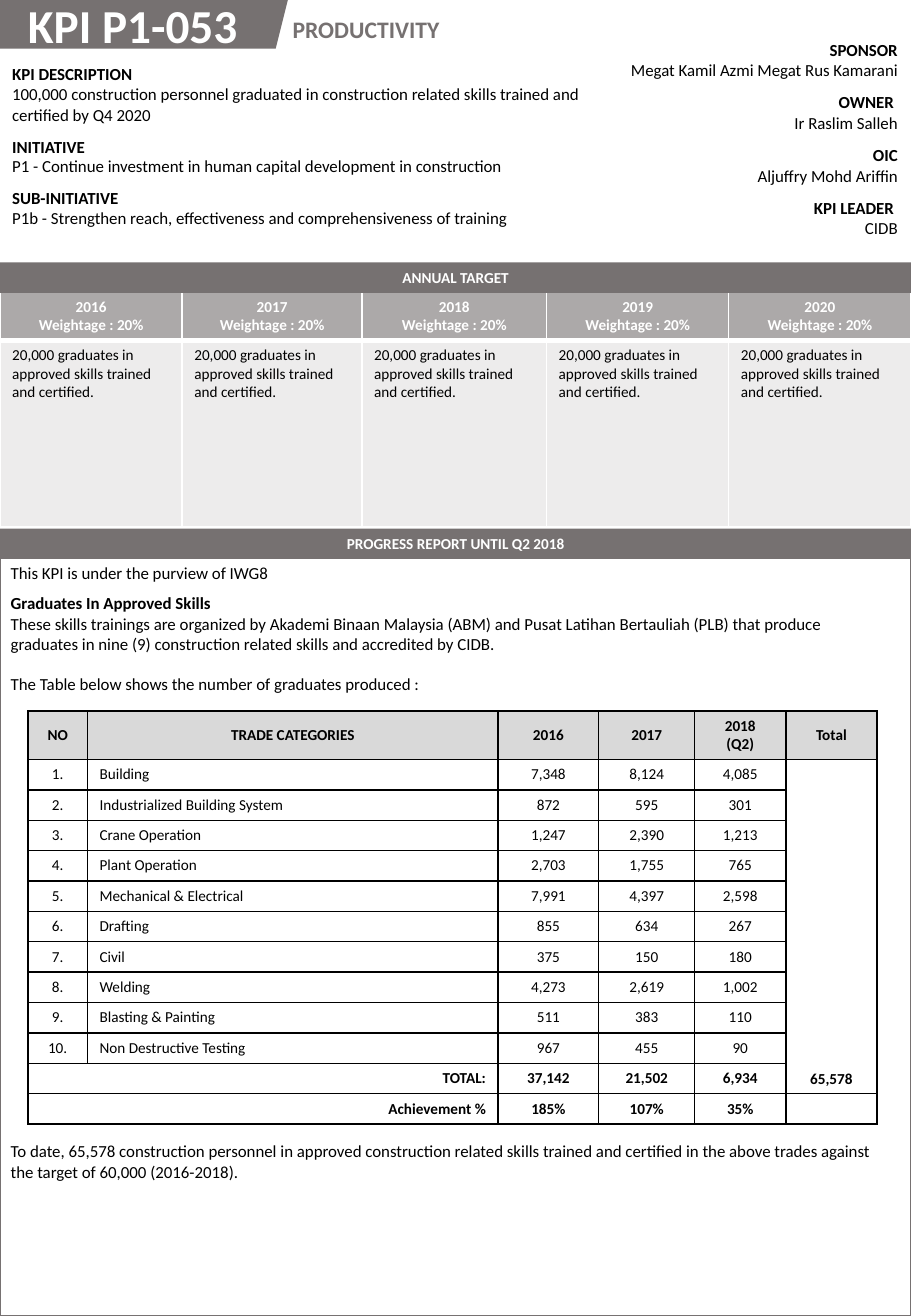
from dataclasses import dataclass
from lxml.etree import SubElement
from pptx import Presentation
from pptx.dml.color import RGBColor
from pptx.enum.shapes import MSO_SHAPE as Shape
from pptx.enum.text import MSO_ANCHOR as Anchor, MSO_AUTO_SIZE as Fit, PP_ALIGN as Align
from pptx.oxml.ns import qn
from pptx.util import Inches, Pt


@dataclass(frozen=True)
class Theme:
    font: str = "Calibri"
    gray: str = "767171"
    head: str = "D9D9D9"
    white: str = "FFFFFF"
    black: str = "000000"
    small: int = 9
    body: int = 10
    label: int = 14
    title: int = 28


T = Theme()
NO_STYLE = "{2D5ABB26-0587-4C30-8999-92F81FD0307C}"
YEARS = range(2016, 2021)
GOAL = "20,000 graduates in approved skills trained and certified."
TRADES = [
    ("Building", "7,348", "8,124", "4,085"),
    ("Industrialized Building System", "872", "595", "301"),
    ("Crane Operation", "1,247", "2,390", "1,213"),
    ("Plant Operation", "2,703", "1,755", "765"),
    ("Mechanical & Electrical", "7,991", "4,397", "2,598"),
    ("Drafting", "855", "634", "267"),
    ("Civil", "375", "150", "180"),
    ("Welding", "4,273", "2,619", "1,002"),
    ("Blasting & Painting", "511", "383", "110"),
    ("Non Destructive Testing", "967", "455", "90"),
]
OWNERS = [
    ("SPONSOR", "Megat Kamil Azmi Megat Rus Kamarani"),
    ("OWNER ", "Ir Raslim Salleh"),
    ("OIC", "Aljuffry Mohd Ariffin"),
    ("KPI LEADER ", "CIDB"),
]
SCOPE = [
    ("KPI DESCRIPTION", "100,000 construction personnel graduated in construction "
     "related skills trained and certified by Q4 2020"),
    ("INITIATIVE", "P1 - Continue investment in human capital development in construction"),
    ("SUB-INITIATIVE", "P1b - Strengthen reach, effectiveness and comprehensiveness of training"),
]


def write(frame, text, size=T.body, color=T.black, bold=False, align=Align.LEFT, gap=0, new=False):
    """Write each line of text as a paragraph; new adds to what is there."""
    for i, line in enumerate(text.split("\n")):
        para = frame.add_paragraph() if new or i else frame.paragraphs[0]
        para.alignment = align
        if gap and not i:
            para.space_before = Pt(gap)
        run = para.add_run()
        run.text = line
        font = run.font
        font.name, font.size, font.bold = T.font, Pt(size), bold
        font.color.rgb = RGBColor.from_string(color)


def paint(fill, color, alpha=100):
    fill.solid()
    fill.fore_color.rgb = RGBColor.from_string(color)
    return alpha


def add_box(slide, box, text="", wrap=True, **fmt):
    frame = slide.shapes.add_textbox(*map(Inches, box)).text_frame
    frame.word_wrap = wrap
    if text:
        write(frame, text, **fmt)
    return frame


def add_block(slide, kind, box, fill=None, line=None):
    block = slide.shapes.add_shape(kind, *map(Inches, box))
    block.shadow.inherit = False
    if fill:
        paint(block.fill, fill)
    else:
        block.fill.background()
    if line:
        block.line.color.rgb = RGBColor.from_string(line)
        block.line.width = Pt(1.5)
    else:
        block.line.fill.background()
    return block


def add_bar(slide, top, text):
    bar = add_block(slide, Shape.RECTANGLE, (0, top, 7.5, 0.25), fill=T.gray)
    bar.text_frame.vertical_anchor = Anchor.MIDDLE
    write(bar.text_frame, text, T.small, T.white, True, Align.CENTER)


def add_grid(slide, left, top, cols, rows):
    """Add a plain table without style and return it."""
    box = map(Inches, (left, top, sum(cols), sum(rows)))
    holder = slide.shapes.add_table(len(rows), len(cols), *box)
    holder.element.xpath(".//a:tableStyleId")[0].text = NO_STYLE
    for para in holder.element.xpath(".//a:p"):
        SubElement(para, qn("a:endParaRPr"), sz=str(T.small * 100))
    grid = holder.table
    grid.first_row = grid.horz_banding = False
    for col, width in zip(grid.columns, cols):
        col.width = Inches(width)
    for row, height in zip(grid.rows, rows):
        row.height = Inches(height)
    for cell in grid.iter_cells():
        cell.fill.background()
    return grid


def dress(cell, edge, fill=None, alpha=100, widths=(1, 1, 1, 1)):
    """Give a cell its borders (left, right, top, bottom) and fill."""
    props = cell._tc.get_or_add_tcPr()
    for i, (side, width) in enumerate(zip("LRTB", widths)):
        line = props.makeelement(qn(f"a:ln{side}"), w=str(Pt(width)))
        SubElement(SubElement(line, qn("a:solidFill")), qn("a:srgbClr"), val=edge)
        props.insert(i, line)
    if fill:
        paint(cell.fill, fill)
        for tint in props.xpath("./a:solidFill/a:srgbClr"):
            SubElement(tint, qn("a:alpha"), val=str(alpha * 1000))


def add_facts(slide, left, top, width, rows, facts, align):
    """Add a column of bold headings, each with its text below."""
    grid = add_grid(slide, left, top, [width], rows)
    for i, (head, text) in enumerate(facts):
        frame = grid.cell(i, 0).text_frame
        write(frame, head, bold=True, align=align)
        write(frame, text, align=align, new=True)
    return grid


def add_goals(slide):
    grid = add_grid(slide, 0, 2.4, [1.5, 1.48, 1.52, 1.5, 1.5], [0.4, 1.53])
    for i, year in enumerate(YEARS):
        head, goal = grid.cell(0, i), grid.cell(1, i)
        dress(head, T.white, T.gray, 60, (1, 1, 1, 3))
        dress(goal, T.white, T.gray, 13, (1, 1, 3, 1))
        write(head.text_frame, f"{year}\nWeightage : 20%", T.small, T.white, True, Align.CENTER)
        write(goal.text_frame, GOAL, T.small)


def add_trades(slide):
    rows = [("NO", "TRADE CATEGORIES", "2016", "2017", "2018\n(Q2)", "Total")]
    rows += [(f"{i}.", *trade, "") for i, trade in enumerate(TRADES, 1)]
    rows += [("TOTAL:", "", "37,142", "21,502", "6,934", ""),
             ("Achievement %", "", "185%", "107%", "35%", "")]
    grid = add_grid(slide, 0.23, 5.85, [0.49, 3.38, 0.83, 0.79, 0.75, 0.75],
                    [0.4] + [0.25] * (len(rows) - 1))
    sums = len(TRADES) + 1
    grid.cell(1, 5).merge(grid.cell(sums, 5))
    for r in (sums, sums + 1):
        grid.cell(r, 0).merge(grid.cell(r, 1))
    for r, row in enumerate(rows):
        for c, text in enumerate(row):
            cell = grid.cell(r, c)
            dress(cell, T.black, None if r else T.head)
            cell.margin_top = cell.margin_bottom = Inches(0.04)
            cell.vertical_anchor = Anchor.MIDDLE
            align = Align.CENTER
            if c == 1 and r:
                align = Align.LEFT
            elif c == 0 and r >= sums:
                align = Align.RIGHT
            if text:
                write(cell.text_frame, text, T.small, bold=r == 0 or r >= sums, align=align)
    total = grid.cell(1, 5)
    total.vertical_anchor = Anchor.BOTTOM
    write(total.text_frame, "65,578", T.small, bold=True, align=Align.CENTER)


def add_title(slide, text):
    add_block(slide, Shape.PARALLELOGRAM, (-0.17, 0, 2.54, 0.4), fill=T.gray)
    title = slide.shapes.title
    slide.shapes.element.append(title.element)
    title.left, title.top, title.width, title.height = map(Inches, (0.13, -0.08, 2.24, 0.57))
    title.text_frame.auto_size = Fit.NONE
    title.text_frame.vertical_anchor = Anchor.TOP
    write(title.text_frame, text, T.title, T.white, True)


def add_report(slide):
    add_block(slide, Shape.RECTANGLE, (0, 4.59, 7.5, 6.24), line=T.gray)
    frame = add_box(slide, (-0.01, 4.58, 7.33, 1.25), "This KPI is under the purview of IWG8")
    write(frame, "Graduates In Approved Skills", bold=True, gap=6, new=True)
    write(frame, "These skills trainings are organized by Akademi Binaan Malaysia (ABM) and "
          "Pusat Latihan Bertauliah (PLB) that produce graduates in nine (9) construction "
          "related skills and accredited by CIDB.", new=True)
    write(frame, "The Table below shows the number of graduates produced :", gap=12, new=True)
    add_box(slide, (-0.01, 9.34, 7.33, 0.44),
            "To date, 65,578 construction personnel in approved construction related skills "
            "trained and certified in the above trades against the target of 60,000 (2016-2018).")


def main():
    deck = Presentation()
    deck.slide_width, deck.slide_height = Inches(7.5), Inches(10.83)
    slide = deck.slides.add_slide(deck.slide_layouts[5])
    add_title(slide, "KPI P1-053")
    add_box(slide, (2.31, 0.07, 1.45, 0.34), "PRODUCTIVITY", wrap=False,
            size=T.label, color=T.gray, bold=True)
    scope = add_facts(slide, 0, 0.48, 4.98, [0.6, 0.42, 0.43], SCOPE, Align.LEFT)
    scope.cell(1, 0).text_frame.paragraphs[1].line_spacing = 0.88
    add_facts(slide, 5.05, 0.28, 2.44, [0.43] * 4, OWNERS, Align.RIGHT)
    add_goals(slide)
    add_report(slide)
    add_bar(slide, 2.16, "ANNUAL TARGET")
    add_bar(slide, 4.35, "PROGRESS REPORT UNTIL Q2 2018")
    add_trades(slide)
    deck.save("out.pptx")


if __name__ == "__main__":
    main()
